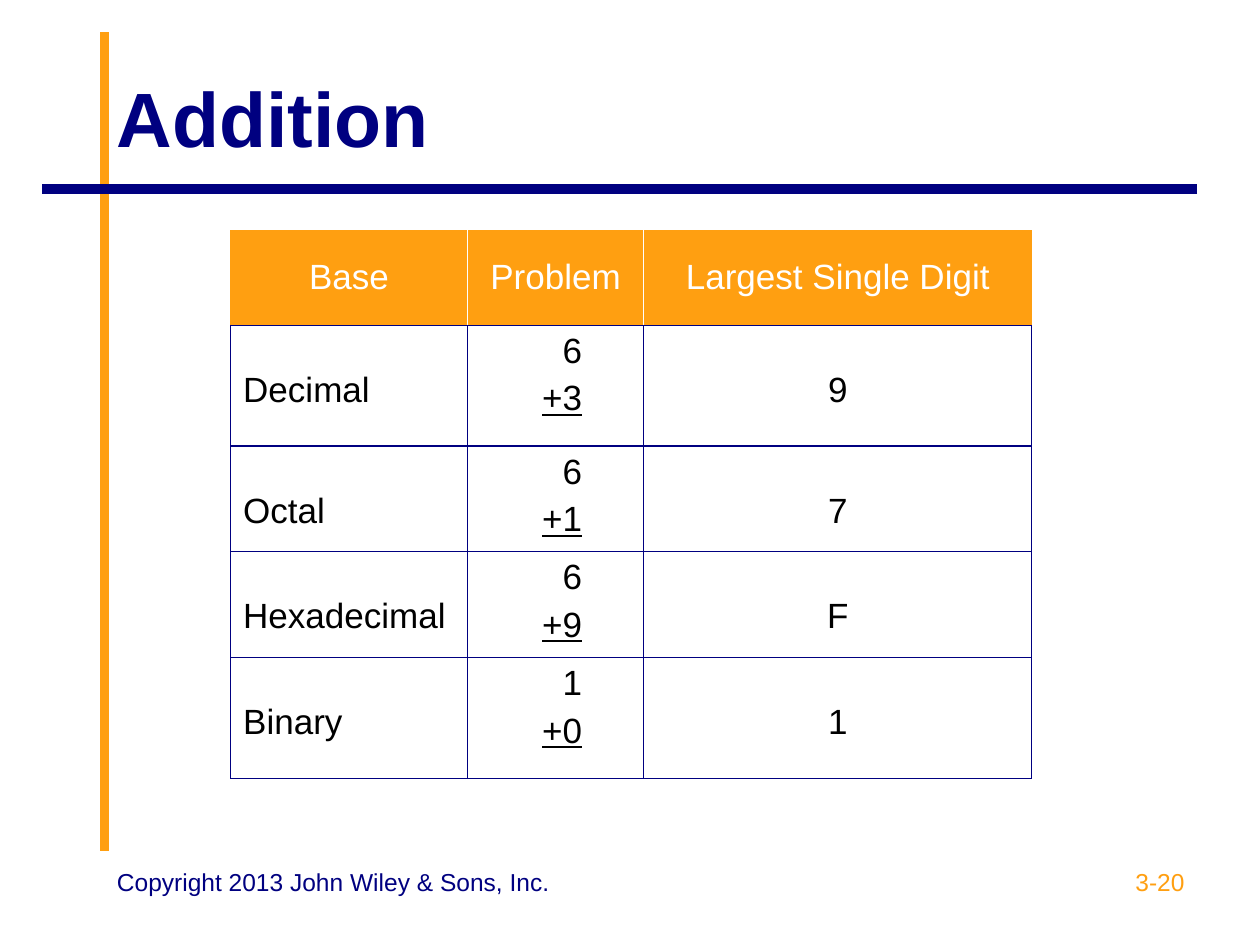
from lxml import etree
from pptx import Presentation
from pptx.dml.color import RGBColor
from pptx.enum import shapes, text
from pptx.oxml import ns
from pptx.util import Inches, Pt

NAVY = RGBColor(0x00, 0x00, 0x80)
ORANGE = RGBColor(0xFF, 0x9F, 0x11)
WHITE = RGBColor(0xFF, 0xFF, 0xFF)
BLACK = RGBColor(0x00, 0x00, 0x00)

LEFT, CENTER, RIGHT = text.PP_ALIGN.LEFT, text.PP_ALIGN.CENTER, text.PP_ALIGN.RIGHT

COLUMN_WIDTHS = [1.88, 1.4, 3.08]
ROW_HEIGHTS = [0.75, 0.96, 0.84, 0.84, 0.96]
HEADINGS = ["Base", "Problem", "Largest Single Digit"]
SUMS = [
    ("Decimal", ("6", "+3"), "9"),
    ("Octal", ("6", "+1"), "7"),
    ("Hexadecimal", ("6", "+9"), "F"),
    ("Binary", ("1", "+0"), "1"),
]


def write(paragraph, words, paragraph_format, **font_format):
    run = paragraph.add_run()
    run.text = words
    color = font_format.pop("color")
    for name, value in paragraph_format.items():
        setattr(paragraph, name, value)
    for name, value in {"name": "Arial", **font_format}.items():
        setattr(run.font, name, value)
    run.font.color.rgb = color


def add_label(slide, box, words, align, anchor=text.MSO_ANCHOR.TOP, **font_format):
    label = slide.shapes.add_textbox(*map(Inches, box)).text_frame
    label.word_wrap = True
    label.vertical_anchor = anchor
    write(label.paragraphs[0], words, {"alignment": align}, **font_format)


def add_rule(slide, start, end, color):
    rule = slide.shapes.add_connector(
        shapes.MSO_CONNECTOR.STRAIGHT, *map(Inches, start + end))
    rule.line.color.rgb = color
    rule.line.width = Pt(5.5)
    etree.SubElement(rule._element.spPr, ns.qn("a:effectLst"))


def set_borders(cell, colors):
    """Draw the cell's edges; colors follow left, right, top, bottom."""
    properties = cell._tc.get_or_add_tcPr()
    for position, (side, color) in enumerate(zip("LRTB", colors)):
        edge = etree.Element(ns.qn(f"a:ln{side}"), w=str(Pt(0.75)))
        fill = etree.SubElement(edge, ns.qn("a:solidFill"))
        etree.SubElement(fill, ns.qn("a:srgbClr"), val=str(color))
        properties.insert(position, edge)


def add_title_area(slide, left, top, width, height):
    add_rule(slide, (left, 6.75), (left, 0.25), ORANGE)
    add_rule(slide, (left + width, 1.5), (0.33, 1.5), NAVY)
    add_label(slide, (left, top, width, height), "Addition", LEFT,
              text.MSO_ANCHOR.MIDDLE, size=Pt(44), bold=True, color=NAVY)


def add_sums_table(slide, left, top):
    box = (left, top, sum(COLUMN_WIDTHS), sum(ROW_HEIGHTS))
    sums = slide.shapes.add_table(
        len(ROW_HEIGHTS), len(COLUMN_WIDTHS), *map(Inches, box)).table
    sums.first_row = sums.horz_banding = False
    for column, width in zip(sums.columns, COLUMN_WIDTHS):
        column.width = Inches(width)
    for row, height in zip(sums.rows, ROW_HEIGHTS):
        row.height = Inches(height)

    # Heading row
    last = len(HEADINGS) - 1
    for index, heading in enumerate(HEADINGS):
        cell = sums.cell(0, index)
        cell.fill.solid()
        cell.fill.fore_color.rgb = ORANGE
        set_borders(cell, (WHITE if index else ORANGE,
                           WHITE if index < last else ORANGE, ORANGE, NAVY))
        write(cell.text_frame.paragraphs[0], heading,
              {"alignment": CENTER, "line_spacing": 1.55},
              size=Pt(20), color=WHITE)

    # One row for each base
    for row, (base, (first, second), digit) in enumerate(SUMS, start=1):
        base_cell, problem_cell, digit_cell = (sums.cell(row, c) for c in range(3))
        for cell in (base_cell, problem_cell, digit_cell):
            cell.fill.background()
            set_borders(cell, [NAVY] * 4)
        for cell, words, align in ((base_cell, base, LEFT), (digit_cell, digit, CENTER)):
            write(cell.text_frame.paragraphs[0], words,
                  {"alignment": align, "line_spacing": 2.0},
                  size=Pt(20), color=BLACK)
        problem_cell.margin_right = Inches(0.49)
        problem = problem_cell.text_frame
        write(problem.paragraphs[0], first, {"alignment": RIGHT},
              size=Pt(20), color=BLACK)
        write(problem.add_paragraph(), second,
              {"alignment": RIGHT, "space_before": Pt(5)},
              size=Pt(20), underline=True, color=BLACK)


def add_footer(slide, left, top, width, height):
    number_width = 2.33
    add_label(slide, (left + width - number_width, top, number_width, height),
              "3-20", RIGHT, size=Pt(14), color=ORANGE)
    add_label(slide, (left, top, 3.67, height),
              "Copyright 2013 John Wiley & Sons, Inc.", LEFT,
              size=Pt(14), color=NAVY)


def main():
    deck = Presentation()
    deck.slide_width, deck.slide_height = Inches(10), Inches(7.5)
    slide = deck.slides.add_slide(deck.slide_layouts[6])
    add_title_area(slide, 0.83, 0.3, 8.67, 1.25)
    add_sums_table(slide, 1.83, 1.83)
    add_footer(slide, 0.83, 6.83, 8.67, 0.52)
    deck.save("out.pptx")


if __name__ == "__main__":
    main()
